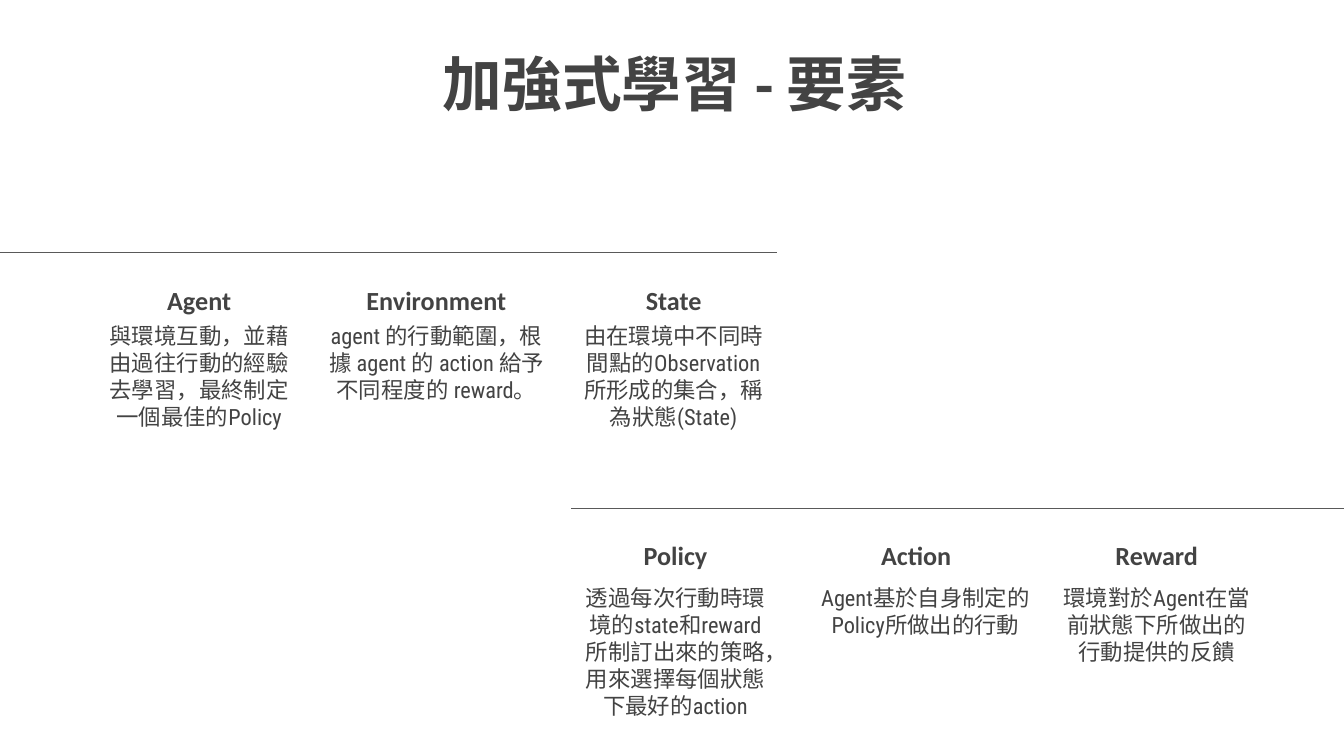
from lxml.etree import SubElement
from pptx import Presentation
from pptx.dml.color import RGBColor
from pptx.enum.shapes import MSO_CONNECTOR
from pptx.enum.text import MSO_ANCHOR, MSO_AUTO_SIZE, PP_ALIGN
from pptx.oxml.ns import qn
from pptx.util import Pt

INK = RGBColor(0x43, 0x43, 0x43)
RULE = RGBColor(0x59, 0x59, 0x59)


class ElementsSlide:
    """Holds the slide and its style; all lengths are in points."""

    heading_font = "Calibri"
    body_font = "Roboto Condensed"
    inset = Pt(7.2)

    def __init__(self, deck):
        self.slide = deck.slides.add_slide(deck.slide_layouts[5])

    def set_text(self, frame, text, font, size, bold=False, anchor=MSO_ANCHOR.TOP):
        frame.text = text
        frame.word_wrap = True
        frame.auto_size = MSO_AUTO_SIZE.NONE
        frame.vertical_anchor = anchor
        frame.margin_left = frame.margin_right = self.inset
        frame.margin_top = frame.margin_bottom = self.inset
        paragraph = frame.paragraphs[0]
        paragraph.alignment = PP_ALIGN.CENTER
        for run in paragraph.runs:
            run.font.name = font
            run.font.size = Pt(size)
            run.font.bold = bold
            run.font.color.rgb = INK
            # East Asian glyphs use the same typeface
            east_asian = SubElement(run.font._element, qn("a:ea"))
            east_asian.set("typeface", font)

    def title(self, text, left, top, width, height):
        heading = self.slide.shapes.title
        heading.left, heading.top = Pt(left), Pt(top)
        heading.width, heading.height = Pt(width), Pt(height)
        self.set_text(heading.text_frame, text, self.heading_font, 32, bold=True)

    def centred_box(self, centre, top, width, height):
        box = self.slide.shapes.add_textbox(
            Pt(centre - width / 2), Pt(top), Pt(width), Pt(height))
        return box.text_frame

    def term(self, text, centre, top):
        self.set_text(self.centred_box(centre, top, 140.4, 33.8), text,
                      self.heading_font, 14, bold=True, anchor=MSO_ANCHOR.BOTTOM)

    def definition(self, text, centre, top, width):
        self.set_text(self.centred_box(centre, top, width, 79.2), text,
                      self.body_font, 12)

    def rule(self, start, end, y):
        line = self.slide.shapes.add_connector(
            MSO_CONNECTOR.STRAIGHT, Pt(start), Pt(y), Pt(end), Pt(y))
        line.line.color.rgb = RULE
        line.line.width = Pt(0.75)
        SubElement(line._element.spPr, qn("a:effectLst"))


# Each term: name, definition, definition width, definition shift
UPPER_TERMS = [
    ("Agent", "與環境互動，並藉由過往行動的經驗去學習，最終制定一個最佳的Policy", 116.6, 0),
    ("Environment", "agent 的行動範圍，根據 agent 的 action 給予不同程度的 reward。", 137.5, 0),
    ("State", "由在環境中不同時間點的Observation所形成的集合，稱為狀態(State)", 116.6, 0),
]
LOWER_TERMS = [
    ("Policy", "透過每次行動時環境的state和reward所制訂出來的策略，用來選擇每個狀態下最好的action", 116.6, 0),
    ("Action", "Agent基於自身制定的Policy所做出的行動", 130.3, 5),
    ("Reward", "環境對於Agent在當前狀態下所做出的行動提供的反饋", 114.5, 0),
]

# Each row: terms, first centre, pitch, term top, definition top, rule
ROWS = [
    (UPPER_TERMS, 106.7, 127.1, 142.6, 165.6, (-3.6, 416.2, 135.4)),
    (LOWER_TERMS, 361.9, 128.9, 279.4, 306, (306, 722.9, 272.6)),
]

deck = Presentation()
deck.slide_width, deck.slide_height = Pt(720), Pt(405)
elements = ElementsSlide(deck)

# Title
elements.title("加強式學習 - 要素", 156.2, 18, 410.4, 74.2)

# Two rows of terms, each under its rule
for terms, first_centre, pitch, term_top, definition_top, rule in ROWS:
    elements.rule(*rule)
    for column, (name, meaning, width, shift) in enumerate(terms):
        centre = first_centre + column * pitch
        elements.term(name, centre, term_top)
        elements.definition(meaning, centre + shift, definition_top, width)

deck.save("out.pptx")
